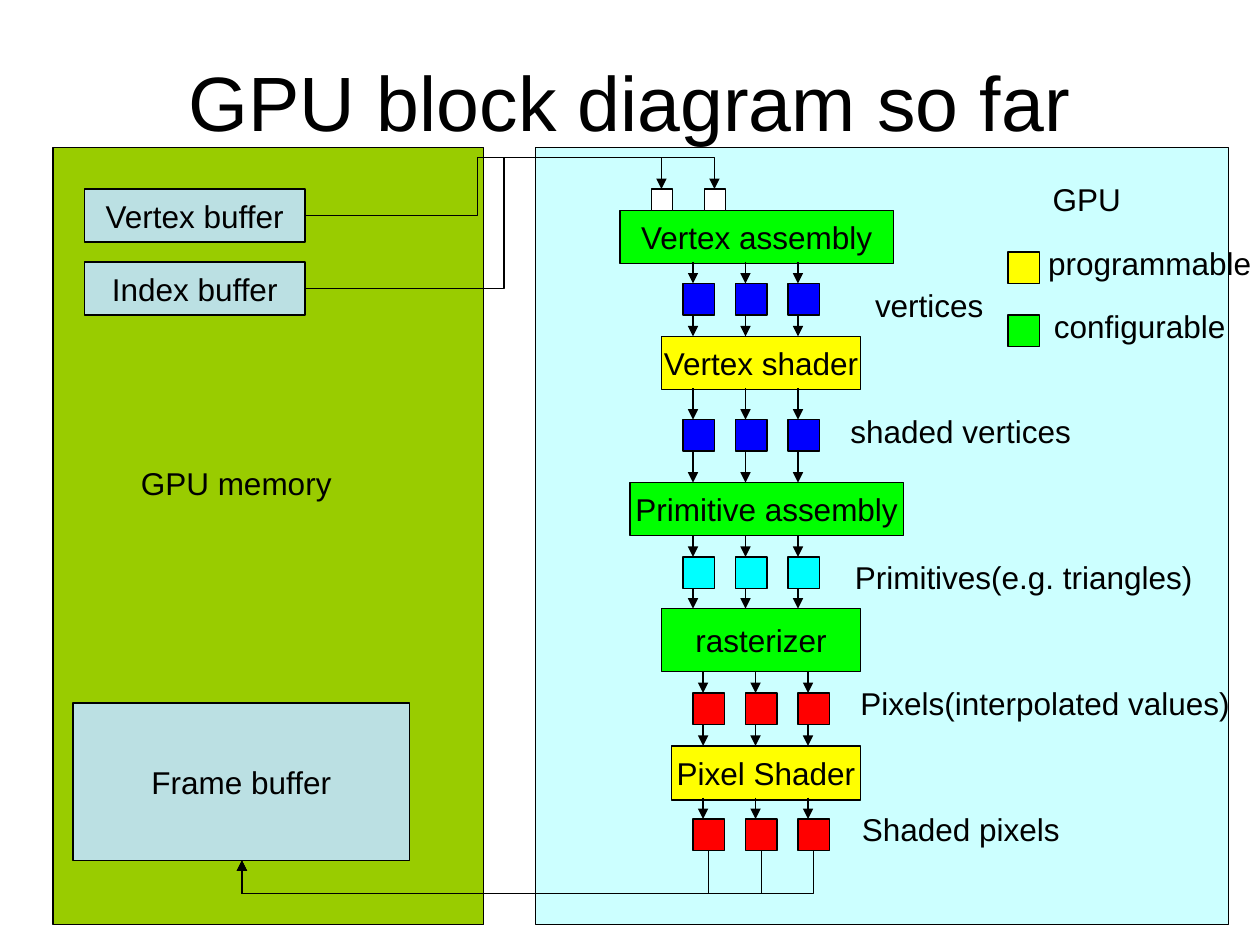
from lxml.etree import SubElement as Sub
from pptx import Presentation
from pptx.dml.color import RGBColor as Rgb
from pptx.enum.shapes import MSO_CONNECTOR as Conn, MSO_SHAPE as Form
from pptx.enum.text import MSO_ANCHOR as Anchor, PP_ALIGN as Align
from pptx.oxml.ns import qn
from pptx.util import Inches, Pt

HUES = {
    "black": "000000", "white": "FFFFFF", "gpu": "CCFFFF", "memory": "99CC00",
    "buffer": "BBE0E3", "fixed": "00FF00", "code": "FFFF00",
    "vertex": "0000FF", "prim": "00FFFF", "pixel": "FF0000",
}
FRAME = {
    "word_wrap": False, "vertical_anchor": Anchor.MIDDLE,
    "margin_left": Inches(0.1), "margin_right": Inches(0.1),
    "margin_top": Inches(0.05), "margin_bottom": Inches(0.05),
}
SIDE = 0.25      # token square
STEP = 5 / 12    # token pitch

# left, top, width, height, fill, wording
BOXES = [
    (0.67, 1.5, 1.75, 0.42, "buffer", "Vertex buffer"),
    (0.67, 2.08, 1.75, 0.42, "buffer", "Index buffer"),
    (0.58, 5.58, 2.67, 1.25, "buffer", "Frame buffer"),
    (4.92, 1.67, 2.17, 0.42, "fixed", "Vertex assembly"),
    (5.25, 2.67, 1.58, 0.42, "code", "Vertex shader"),
    (5, 3.83, 2.17, 0.42, "fixed", "Primitive assembly"),
    (5.25, 4.83, 1.58, 0.5, "fixed", "rasterizer"),
    (5.33, 5.92, 1.5, 0.43, "code", "Pixel Shader"),
]
# left, stage above, token top, stage below, fill
ROWS = [
    (5.42, 2.08, 2.25, 2.67, "vertex"),
    (5.42, 3.08, 3.33, 3.83, "vertex"),
    (5.42, 4.25, 4.42, 4.83, "prim"),
    (5.5, 5.33, 5.5, 5.92, "pixel"),
    (5.5, 6.33, 6.5, None, "pixel"),
]
# left, top, width, height, wording
LABELS = [
    (6.75, 2.17, 1.25, 0.5, "vertices"),
    (7, 3.17, 1.25, 0.5, "shaded vertices"),
    (7.5, 4.33, 1.25, 0.5, "Primitives(e.g. triangles)"),
    (7.67, 5.33, 1.25, 0.5, "Pixels(interpolated values)"),
    (7, 6.33, 1.25, 0.5, "Shaded pixels"),
    (8, 1.33, 1.25, 0.5, "GPU"),
    (1.25, 3.58, 1.25, 0.5, "GPU memory"),
    (8.75, 1.92, 0.75, 0.33, "programmable"),
    (8.67, 2.42, 0.75, 0.33, "configurable"),
]


def color(name):
    return Rgb.from_string(HUES[name])


def write(shape, text, size=18):
    frame = shape.text_frame
    for key, value in FRAME.items():
        setattr(frame, key, value)
    para = frame.paragraphs[0]
    para.text, para.alignment = text, Align.CENTER
    font = para.runs[0].font
    for key, value in {"name": "Arial", "size": Pt(size)}.items():
        setattr(font, key, value)
    font.color.rgb = color("black")


def stroke(item):
    item.line.width = Pt(0.75)
    item.line.color.rgb = color("black")


def rect(slide, *place):
    shape = slide.shapes.add_shape(Form.RECTANGLE, *map(Inches, place))
    shape.shadow.inherit = False
    return shape


def box(slide, x, y, w, h, fill, text=""):
    shape = rect(slide, x, y, w, h)
    shape.fill.solid()
    shape.fill.fore_color.rgb = color(fill)
    stroke(shape)
    if text:
        write(shape, text)


def label(slide, x, y, w, h, text, size=18):
    """Bare text, centred on its frame and free to run past it."""
    shape = rect(slide, x, y, w, h)
    shape.fill.background()
    shape.line.fill.background()
    write(shape, text, size)


def arrow(slide, x1, y1, x2, y2, kind=Conn.STRAIGHT):
    line = slide.shapes.add_connector(kind, *map(Inches, (x1, y1, x2, y2)))
    stroke(line)
    Sub(line.line._get_or_add_ln(), qn("a:tailEnd"), type="triangle")
    props = line._element.spPr
    Sub(props, qn("a:effectLst"))
    return props


def bend(slide, x1, y1, x2, y2, preset, *ratios):
    props = arrow(slide, x1, y1, x2, y2, Conn.ELBOW)
    geom = props.find(qn("a:prstGeom"))
    geom.set("prst", preset)
    guides = geom.find(qn("a:avLst"))
    for i, ratio in enumerate(ratios, 1):
        name = f"adj{i}"
        Sub(guides, qn("a:gd"), name=name, fmla=f"val {round(ratio * 100000)}")
    return props


def feed(slide, y, mid, port):
    """Buffer to input port, up and over the assembly stage."""
    left, top, end = 2.42, 1.25, 1.5
    ratios = (mid - left) / (port - left), (y - top) / (y - end)
    bend(slide, left, y, port, end, "bentConnector4", *ratios)


def drain(slide, x):
    """Shaded pixel down, left and up into the frame buffer."""
    goal, start, end, low = 1.92, 6.75, 6.83, 7.09
    drop, span = end - start, x - goal
    # The connector is laid out upright, then turned a quarter about its centre
    left, top = (x + goal - drop) / 2, (start + end - span) / 2
    props = bend(slide, left, top, left + drop, top + span,
                 "bentConnector3", (low - start) / drop)
    props.find(qn("a:xfrm")).set("rot", "5400000")


def tokens(slide, left, above, top, below, fill):
    for i in range(3):
        x = left + i * STEP
        box(slide, x, top, SIDE, SIDE, fill)
        arrow(slide, x + 0.08, above, x + 0.08, top)
        if below:
            arrow(slide, x + 0.08, top + SIDE, x + 0.08, below)
        else:
            drain(slide, x + SIDE / 2)


def main():
    deck = Presentation()
    deck.slide_width, deck.slide_height = Inches(10), Inches(7.5)
    slide = deck.slides.add_slide(deck.slide_layouts[6])

    # Title and panels
    label(slide, 0.5, 0.17, 9, 1.25, "GPU block diagram so far", 44)
    box(slide, 4.25, 1.17, 5.5, 6.17, "gpu")
    box(slide, 0.42, 1.17, 3.42, 6.17, "memory")

    # Buffers and pipeline stages
    for item in BOXES:
        box(slide, *item)

    # Input ports and their feeds
    for y, mid, port in ((1.71, 3.79, 5.25), (2.29, 4, 5.67)):
        box(slide, port - 0.08, 1.5, 0.17, 0.17, "white")
        feed(slide, y, mid, port)

    # Data between the stages
    for row in ROWS:
        tokens(slide, *row)

    # Legend and labels
    for y, fill in ((2, "code"), (2.5, "fixed")):
        box(slide, 8, y, SIDE, SIDE, fill)
    for item in LABELS:
        label(slide, *item)

    deck.save("out.pptx")


if __name__ == "__main__":
    main()
